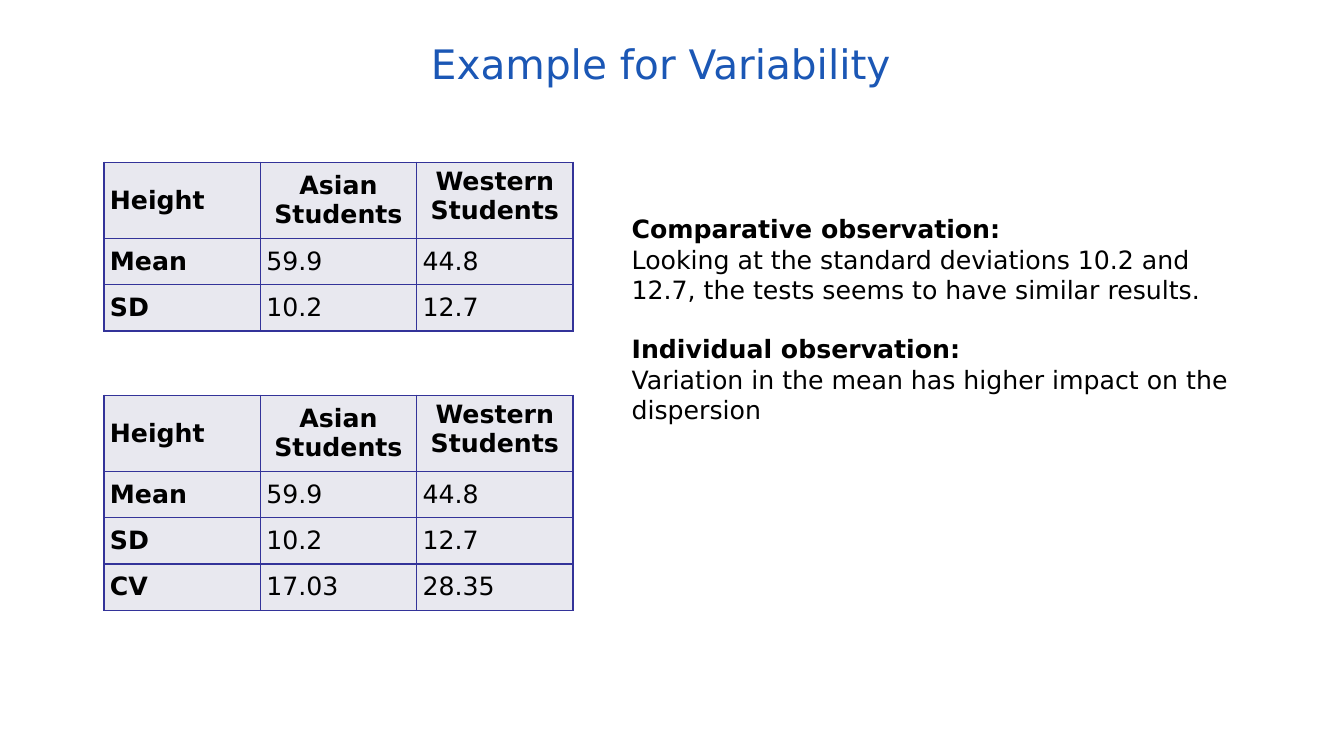
from lxml import etree
from pptx import Presentation
from pptx.dml.color import RGBColor
from pptx.enum.text import MSO_ANCHOR, PP_ALIGN
from pptx.oxml.ns import qn
from pptx.util import Cm, Pt

LEFT, CENTER = PP_ALIGN.LEFT, PP_ALIGN.CENTER
TOP, MIDDLE = MSO_ANCHOR.TOP, MSO_ANCHOR.MIDDLE

FONT = "DejaVu Sans"
BLACK, TITLE_BLUE = "000000", "1B57B5"
CELL_FILL, BORDER = "E8E8EF", "333399"

COLUMN_WIDTH, HEADER_HEIGHT, ROW_HEIGHT = Cm(3.94), Cm(1.89), Cm(1.16)
TABLE_LEFT = Cm(2.62)
TIGHT_CELL = {
    "vertical_anchor": MIDDLE,
    "margin_left": Cm(0.15), "margin_right": Cm(0.15),
    "margin_top": Cm(0.2), "margin_bottom": Cm(0.2),
}
LOOSE_CELL = {"vertical_anchor": TOP}

HEADER = ("Height", "Asian Students", "Western Students")
MEAN = ("Mean", "59.9", "44.8")
DEVIATION = ("SD", "10.2", "12.7")
VARIATION = ("CV", "17.03", "28.35")

OBSERVATIONS = (
    ("Comparative observation:",
     "Looking at the standard deviations 10.2 and 12.7, "
     "the tests seems to have similar results."),
    ("Individual observation:",
     "Variation in the mean has higher impact on the dispersion"),
)


def rgb(hex_color):
    return RGBColor.from_string(hex_color)


def apply_format(target, values):
    for attribute, value in values.items():
        setattr(target, attribute, value)


def write(paragraph, wording, size=18, color=BLACK, bold=False, align=LEFT):
    paragraph.alignment = align
    run = paragraph.add_run()
    run.text = wording
    apply_format(run.font, {"name": FONT, "size": Pt(size), "bold": bold})
    run.font.color.rgb = rgb(color)


def add_text_frame(slide, left, top, width, height, anchor=TOP):
    frame = slide.shapes.add_textbox(left, top, width, height).text_frame
    apply_format(frame, {"word_wrap": True, "vertical_anchor": anchor})
    return frame


def add_borders(cell):
    properties = cell._tc.get_or_add_tcPr()
    for side in ("lnL", "lnR", "lnT", "lnB"):
        line = etree.SubElement(properties, qn(f"a:{side}"), w=str(Pt(1)))
        fill = etree.SubElement(line, qn("a:solidFill"))
        etree.SubElement(fill, qn("a:srgbClr"), val=BORDER)


def add_height_table(slide, top, rows):
    total_height = HEADER_HEIGHT + ROW_HEIGHT * (len(rows) - 1)
    table = slide.shapes.add_table(
        len(rows), len(HEADER), TABLE_LEFT, top,
        COLUMN_WIDTH * len(HEADER), total_height).table
    for column in table.columns:
        column.width = COLUMN_WIDTH
    for r, values in enumerate(rows):
        is_header = r == 0
        table.rows[r].height = HEADER_HEIGHT if is_header else ROW_HEIGHT
        for c, value in enumerate(values):
            cell = table.cell(r, c)
            is_last_heading = is_header and c == len(HEADER) - 1
            apply_format(cell, LOOSE_CELL if is_last_heading else TIGHT_CELL)
            add_borders(cell)
            cell.fill.solid()
            cell.fill.fore_color.rgb = rgb(CELL_FILL)
            write(cell.text_frame.paragraphs[0], value,
                  bold=is_header or c == 0,
                  align=CENTER if is_header and c > 0 else LEFT)


def add_observations(slide):
    frame = add_text_frame(slide, Cm(15.67), Cm(5.26), Cm(16.2), Cm(7.95))
    for index, (heading, finding) in enumerate(OBSERVATIONS):
        paragraph = frame.add_paragraph() if index else frame.paragraphs[0]
        if index:
            paragraph.space_before = Pt(21)
        write(paragraph, heading, bold=True)
        write(frame.add_paragraph(), finding)


def main():
    presentation = Presentation()
    apply_format(presentation, {"slide_width": Cm(33.87), "slide_height": Cm(19.05)})
    slide = presentation.slides.add_slide(presentation.slide_layouts[6])

    title = add_text_frame(slide, Cm(1.42), Cm(0.64), Cm(30.48), Cm(1.9), MIDDLE)
    write(title.paragraphs[0], "Example for Variability", 29, TITLE_BLUE, align=CENTER)

    add_height_table(slide, Cm(4.09), (HEADER, MEAN, DEVIATION))
    add_height_table(slide, Cm(9.96), (HEADER, MEAN, DEVIATION, VARIATION))
    add_observations(slide)
    presentation.save("out.pptx")


if __name__ == "__main__":
    main()
